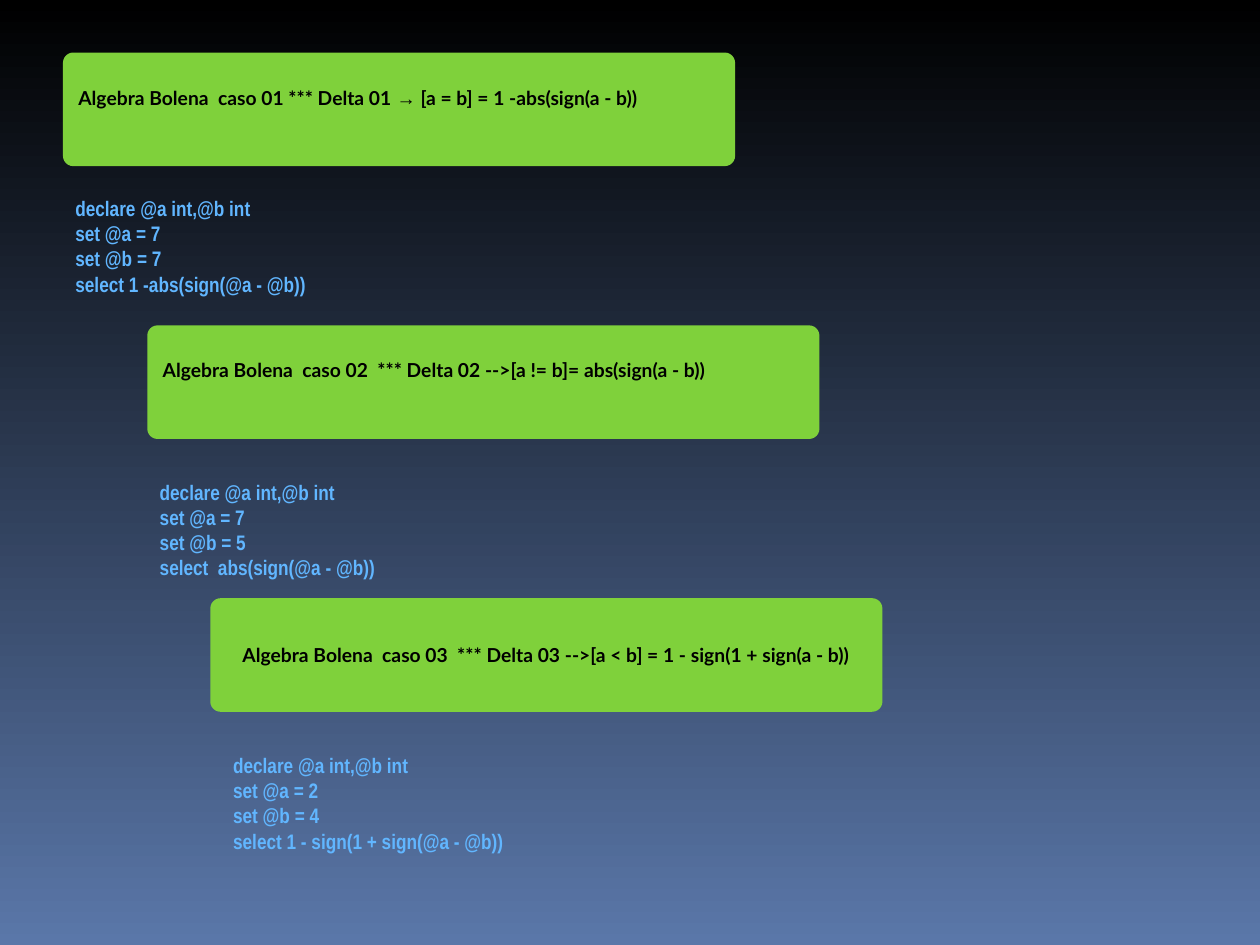
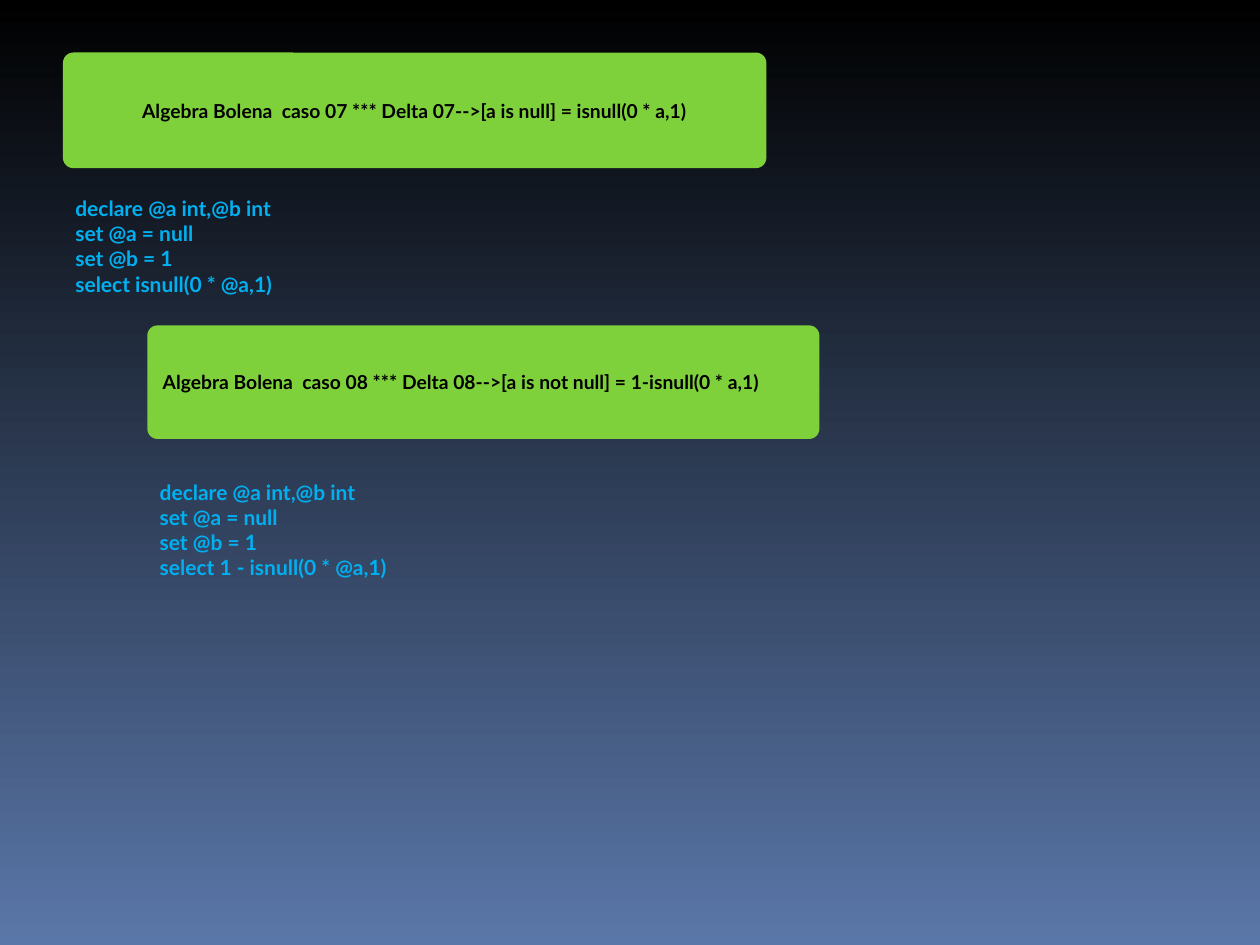
from dataclasses import dataclass
from pptx import Presentation
from pptx.dml.color import RGBColor as Rgb
from pptx.enum.shapes import MSO_SHAPE as Kind
from pptx.enum.text import MSO_ANCHOR as Anchor, MSO_AUTO_SIZE as Fit, PP_ALIGN as Align
from pptx.slide import Slide
from pptx.text.text import TextFrame as Frame
from pptx.util import Cm, Pt


@dataclass(frozen=True)
class Theme:
    top: Rgb = Rgb(0x00, 0x00, 0x00)
    base: Rgb = Rgb(0x5A, 0x77, 0xA9)
    green: Rgb = Rgb(0x7F, 0xD1, 0x3B)
    ink: Rgb = Rgb(0x00, 0x00, 0x00)
    pale: Rgb = Rgb(0x61, 0xB6, 0xFF)
    vivid: Rgb = Rgb(0x00, 0xB0, 0xF0)
    sans: str = "Lato"
    thin: str = "Arial Narrow"
    sign: str = "Arial"
    head: int = 11
    code: int = 12


@dataclass(frozen=True)
class Case:
    name: str
    a: str
    b: str
    query: str
    align: Align = Align.LEFT
    lift: float = 0
    width: float = 13.55
    height: float = 2.29


@dataclass(frozen=True)
class Slot:
    left: float
    code_left: float
    code_top: float
    code_width: float = 15.04


@dataclass(frozen=True)
class Page:
    cases: tuple[Case, ...]
    font: str
    color: Rgb


THEME = Theme()
ARROW = "→"
FIRST, PITCH = 1.06, 5.5
PAD_X, PAD_Y = 0.25, 0.13
CODE_H = 2.29

SLOTS = (
    Slot(1.27, 1.27, 3.81),
    Slot(2.97, 2.97, 9.53),
    Slot(4.24, 4.45, 15.04, 14.61),
)

PAGES = (
    Page((
        Case("Algebra Bolena  caso 01 *** Delta 01 → [a = b] = 1 -abs(sign(a - b))",
             "7", "7", "select 1 -abs(sign(@a - @b))", lift=0.48),
        Case("Algebra Bolena  caso 02  *** Delta 02 -->[a != b]= abs(sign(a - b))",
             "7", "5", "select  abs(sign(@a - @b))", lift=0.48),
        Case("Algebra Bolena  caso 03  *** Delta 03 -->[a < b] = 1 - sign(1 + sign(a - b))",
             "2", "4", "select 1 - sign(1 + sign(@a - @b))", Align.CENTER),
    ), THEME.thin, THEME.pale),
    Page((
        Case("Algebra Bolena  caso 07 *** Delta 07-->[a is null] = isnull(0 * a,1)",
             "null", "1", "select isnull(0 * @a,1)", Align.CENTER,
             width=14.18, height=2.33),
        Case("Algebra Bolena  caso 08 *** Delta 08-->[a is not null] = 1-isnull(0 * a,1)",
             "null", "1", "select 1 - isnull(0 * @a,1)"),
    ), THEME.sans, THEME.vivid),
)


def paint(slide: Slide) -> None:
    fill = slide.background.fill
    fill.gradient()
    fill.gradient_angle = 270
    for stop, tone in zip(fill.gradient_stops, (THEME.top, THEME.base)):
        stop.color.rgb = tone


def style(frame: Frame, font: str, size: int, color: Rgb, align: Align) -> None:
    frame.word_wrap = True
    frame.vertical_anchor = Anchor.MIDDLE
    frame.margin_left = frame.margin_right = Cm(PAD_X)
    frame.margin_top = frame.margin_bottom = Cm(PAD_Y)
    for par in frame.paragraphs:
        par.alignment = align
        for run in par.runs:
            run.font.name = THEME.sign if run.text == ARROW else font
            run.font.size = Pt(size)
            run.font.bold = True
            run.font.color.rgb = color


def draw_head(slide: Slide, case: Case, slot: Slot, top: float) -> None:
    box = slide.shapes.add_shape(
        Kind.ROUNDED_RECTANGLE, Cm(slot.left), Cm(top), Cm(case.width), Cm(case.height))
    box.adjustments[0] = 0.09
    box.shadow.inherit = False
    box.fill.solid()
    box.fill.fore_color.rgb = THEME.green
    box.line.fill.background()
    frame = box.text_frame
    start, *rest = case.name.partition(ARROW)
    frame.text = start
    for part in filter(None, rest):
        frame.paragraphs[0].add_run().text = part
    style(frame, THEME.sans, THEME.head, THEME.ink, case.align)
    frame.margin_bottom = Cm(PAD_Y + case.lift)


def draw_code(slide: Slide, case: Case, slot: Slot, page: Page) -> None:
    box = slide.shapes.add_textbox(
        Cm(slot.code_left), Cm(slot.code_top), Cm(slot.code_width), Cm(CODE_H))
    frame = box.text_frame
    frame.text = "\n".join((
        "declare @a int,@b int", f"set @a = {case.a}", f"set @b = {case.b}", case.query))
    style(frame, page.font, THEME.code, page.color, Align.LEFT)
    frame.auto_size = Fit.SHAPE_TO_FIT_TEXT


def main() -> None:
    deck = Presentation()
    deck.slide_width, deck.slide_height = Cm(25.4), Cm(19.05)
    for page in PAGES:
        slide = deck.slides.add_slide(deck.slide_layouts[6])
        paint(slide)
        for row, (case, slot) in enumerate(zip(page.cases, SLOTS)):
            draw_head(slide, case, slot, FIRST + row * PITCH)
            draw_code(slide, case, slot, page)
    deck.save("out.pptx")


if __name__ == "__main__":
    main()
